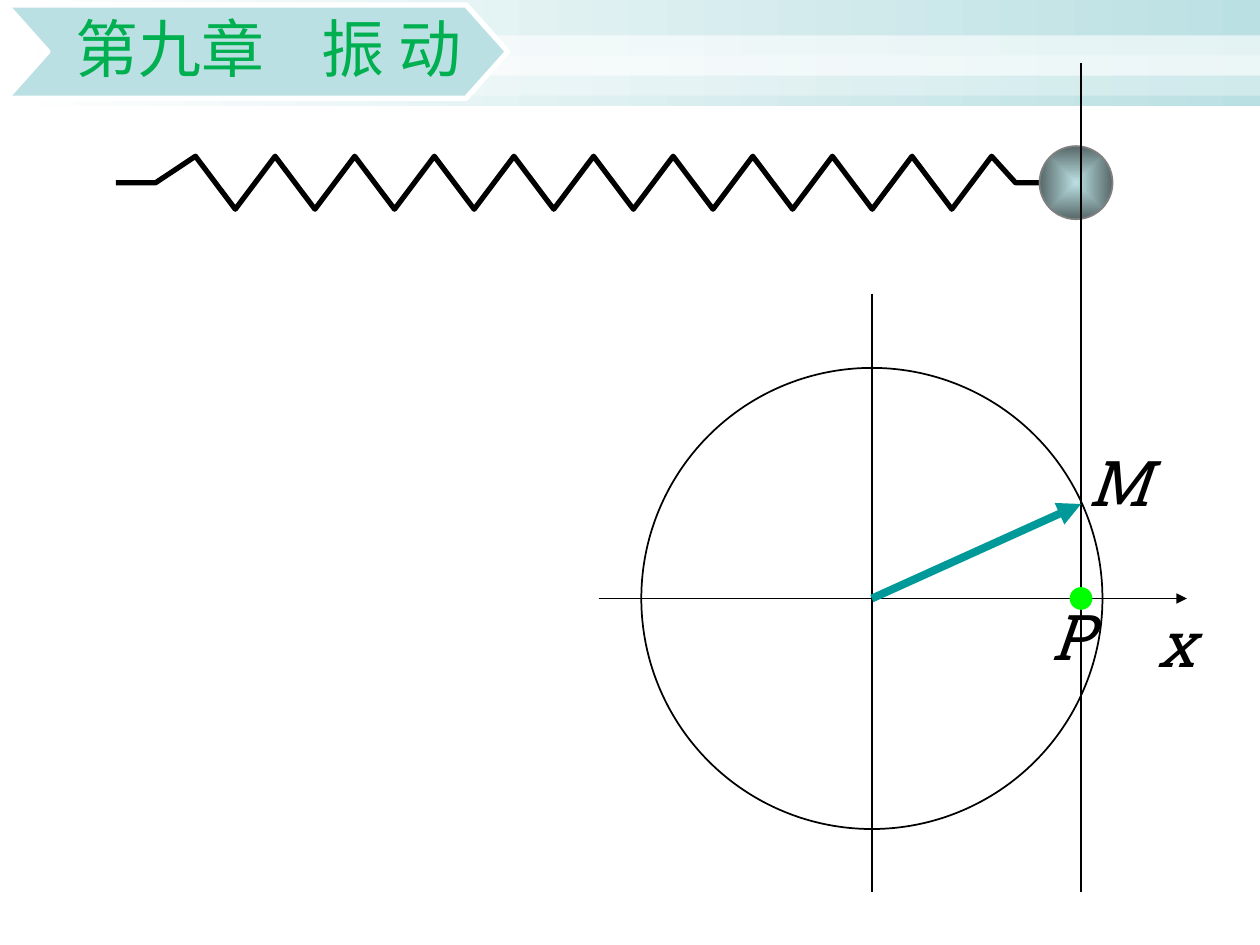
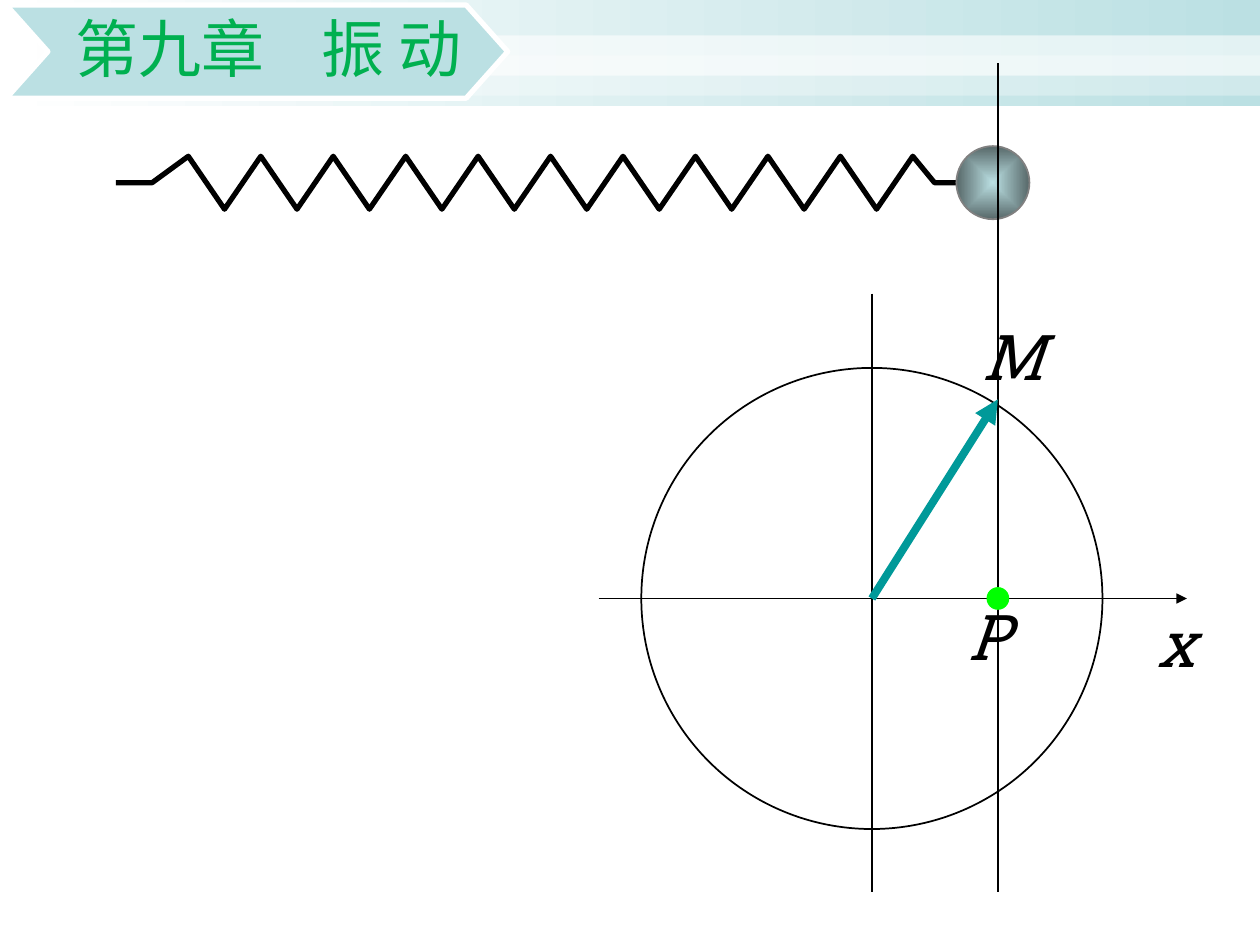
from dataclasses import dataclass

from lxml.etree import SubElement
from pptx import Presentation
from pptx.dml.color import RGBColor
from pptx.enum.shapes import MSO_CONNECTOR, MSO_SHAPE
from pptx.enum.text import MSO_ANCHOR, MSO_AUTO_SIZE, PP_ALIGN
from pptx.oxml.ns import qn
from pptx.util import Inches, Pt


@dataclass(frozen=True)
class Theme:
    white: str = "FFFFFF"
    ink: str = "000000"
    aqua: str = "BBE0E3"
    aqua_dark: str = "576869"
    ball_edge: str = "808080"
    vector: str = "009999"
    dot: str = "00FF00"
    title: str = "00B050"
    title_font: str = "Calibri"
    label_font: str = "Roboto Slab"
    text_size: int = 36
    thin: float = 1
    thick: float = 3
    vector_width: float = 4.5


THEME = Theme()
PAGE_WIDTH, PAGE_HEIGHT = 10, 7.5

CHAPTER = "第九章\t振 动"
# Position of the rotating vector's tip M, and the top left of its label
STATES = [
    {"tip": (8.58, 4.0), "label": (8.54, 3.47)},
    {"tip": (7.92, 3.17), "label": (7.7, 2.47)},
]

BAND_HEIGHT = 0.84
WHITE_STRIPES = [(0.28, 0.32, 60), (0.44, 0.32, 31)]  # top, height, opacity %
BANNER = (0.05, 0.04, 3.98, 0.74)
BANNER_NOTCH = 0.33
TITLE_INDENT, TITLE_TAB = 0.55, 1.95

CENTRE_X, CENTRE_Y = 6.92, 4.75
RADIUS = 1.83
AXIS_LEFT, AXIS_RIGHT, AXIS_TOP, AXIS_BOTTOM = 4.75, 9.42, 2.33, 7.08
GUIDE_TOP = 0.5
SPRING_LEFT, SPRING_Y, SPRING_SWING = 0.92, 1.45, 0.21
ZIGZAG_STEPS, TAIL_STEP = 22, 0.6
BALL_SIZE, BALL_OFFSET = 0.58, 0.33
DOT_SIZE = 0.17
LABEL_HEIGHT = 0.7


def colour(code):
    return RGBColor.from_string(code)


def style(shape, fill=None, line=None, width=THEME.thin):
    shape.shadow.inherit = False
    if fill:
        shape.fill.solid()
        shape.fill.fore_color.rgb = colour(fill)
    else:
        shape.fill.background()
    if line:
        shape.line.color.rgb = colour(line)
        shape.line.width = Pt(width)
    else:
        shape.line.fill.background()
    return shape


def add_preset(shapes, kind, place, **look):
    return style(shapes.add_shape(kind, *map(Inches, place)), **look)


def add_circle(shapes, centre, size, **look):
    x, y = centre
    return add_preset(shapes, MSO_SHAPE.OVAL, (x - size / 2, y - size / 2, size, size), **look)


def add_path(shapes, points, close, **look):
    emu_points = [(Inches(x), Inches(y)) for x, y in points]
    builder = shapes.build_freeform(*emu_points[0])
    builder.add_line_segments(emu_points[1:], close=close)
    return style(builder.convert_to_shape(), **look)


def add_line(shapes, start, end, line=THEME.ink, width=THEME.thin, arrow=False):
    connector = shapes.add_connector(MSO_CONNECTOR.STRAIGHT, *map(Inches, (*start, *end)))
    connector.line.color.rgb = colour(line)
    connector.line.width = Pt(width)
    properties = connector.element.spPr
    if arrow:
        SubElement(properties.find(qn("a:ln")), qn("a:tailEnd"), type="triangle")
    SubElement(properties, qn("a:effectLst"))


def add_label(shapes, text, left, top, width):
    box = shapes.add_textbox(*map(Inches, (left, top, width, LABEL_HEIGHT)))
    frame = box.text_frame
    frame.text = text
    frame.word_wrap = False
    frame.auto_size = MSO_AUTO_SIZE.SHAPE_TO_FIT_TEXT
    font = frame.paragraphs[0].runs[0].font
    font.name, font.size, font.italic = THEME.label_font, Pt(THEME.text_size), True
    font.color.rgb = colour(THEME.ink)


def set_gradient(shape, start, end):
    shape.fill.gradient()
    shape.fill.gradient_angle = 0
    for stop, code in zip(shape.fill.gradient_stops, (start, end)):
        stop.color.rgb = colour(code)


def decorate(layout, page):
    """Draw the header on a page, then move it to the layout that all pages share."""
    shapes = page.shapes
    band = add_preset(shapes, MSO_SHAPE.RECTANGLE, (0, 0, PAGE_WIDTH, BAND_HEIGHT))
    set_gradient(band, THEME.white, THEME.aqua)
    header = [band]
    for top, height, opacity in WHITE_STRIPES:
        stripe = add_preset(shapes, MSO_SHAPE.RECTANGLE, (0, top, PAGE_WIDTH, height),
                            fill=THEME.white)
        tint = stripe.element.spPr.find(qn("a:solidFill"))[0]
        SubElement(tint, qn("a:alpha"), val=str(opacity * 1000))
        header.append(stripe)

    left, top, width, height = BANNER
    right, middle, bottom = left + width, top + height / 2, top + height
    outline = [(left, top), (right - BANNER_NOTCH, top), (right, middle),
               (right - BANNER_NOTCH, bottom), (left, bottom), (left + BANNER_NOTCH, middle)]
    header.append(add_path(shapes, outline, True, fill=THEME.aqua, line=THEME.white,
                           width=THEME.thick))
    for shape in header:
        layout.shapes.element.append(shape.element)


def set_title(page):
    title = page.shapes.title
    title.left, title.top, title.width, title.height = map(Inches, BANNER)
    frame = title.text_frame
    frame.text = CHAPTER
    frame.auto_size = MSO_AUTO_SIZE.NONE
    frame.vertical_anchor = MSO_ANCHOR.MIDDLE
    frame.margin_left, frame.margin_right = Inches(TITLE_INDENT), 0
    frame.margin_top = frame.margin_bottom = Inches(0.03)
    para = frame.paragraphs[0]
    tabs = SubElement(para._p.get_or_add_pPr(), qn("a:tabLst"))
    SubElement(tabs, qn("a:tab"), pos=str(Inches(TITLE_TAB)), algn="l")
    para.alignment = PP_ALIGN.LEFT
    para.line_spacing = 0.9
    font = para.runs[0].font
    font.name, font.size = THEME.title_font, Pt(THEME.text_size)
    font.color.rgb = colour(THEME.title)


def add_spring(shapes, right):
    """Zigzag between two straight ends, stretched to reach the given right edge."""
    step = (right - SPRING_LEFT) / (ZIGZAG_STEPS + 2 * TAIL_STEP)
    swings = [(0, 0), (1, 0)]
    swings += [(i, 1 if i % 2 else -1) for i in range(2, ZIGZAG_STEPS + 1)]
    swings += [(ZIGZAG_STEPS + n * TAIL_STEP, 0) for n in (1, 2)]
    points = [(SPRING_LEFT + i * step, SPRING_Y + side * SPRING_SWING) for i, side in swings]
    add_path(shapes, points, False, line=THEME.ink, width=THEME.thick)


def add_mass(shapes, ball_left, guide_x):
    group = shapes.add_group_shape().shapes
    ball = add_circle(group, (ball_left + BALL_SIZE / 2, SPRING_Y), BALL_SIZE,
                      line=THEME.ball_edge)
    set_gradient(ball, THEME.aqua, THEME.aqua_dark)
    gradient = ball.element.spPr.find(qn("a:gradFill"))
    gradient.remove(gradient.find(qn("a:lin")))
    radial = SubElement(gradient, qn("a:path"), path="rect")
    SubElement(radial, qn("a:fillToRect"), l="50000", t="50000", r="50000", b="50000")
    add_line(group, (guide_x, GUIDE_TOP), (guide_x, AXIS_BOTTOM))


def add_reference_circle(shapes):
    group = shapes.add_group_shape().shapes
    add_circle(group, (CENTRE_X, CENTRE_Y), 2 * RADIUS, line=THEME.ink)
    add_line(group, (AXIS_LEFT, CENTRE_Y), (AXIS_RIGHT, CENTRE_Y), arrow=True)
    add_line(group, (CENTRE_X, AXIS_TOP), (CENTRE_X, AXIS_BOTTOM))
    add_label(group, "x", 9.09, CENTRE_Y, 0.47)


def draw_state(page, tip, label):
    shapes = page.shapes
    tip_x = tip[0]
    ball_left = tip_x - BALL_OFFSET
    add_spring(shapes, ball_left)
    add_mass(shapes, ball_left, tip_x)
    add_reference_circle(shapes)
    add_line(shapes, (CENTRE_X, CENTRE_Y), tip, THEME.vector, THEME.vector_width, arrow=True)
    add_label(shapes, "M", *label, 0.63)
    add_label(shapes, "P", ball_left, 4.69, 0.5)
    add_circle(shapes, (tip_x, CENTRE_Y), DOT_SIZE, fill=THEME.dot, line=THEME.dot, width=0.75)


def main():
    deck = Presentation()
    deck.slide_width, deck.slide_height = Inches(PAGE_WIDTH), Inches(PAGE_HEIGHT)
    layout = deck.slide_layouts.get_by_name("Title Only")
    pages = [deck.slides.add_slide(layout) for _ in STATES]
    decorate(layout, pages[0])
    for page, state in zip(pages, STATES):
        set_title(page)
        draw_state(page, **state)
    deck.save("out.pptx")


if __name__ == "__main__":
    main()
